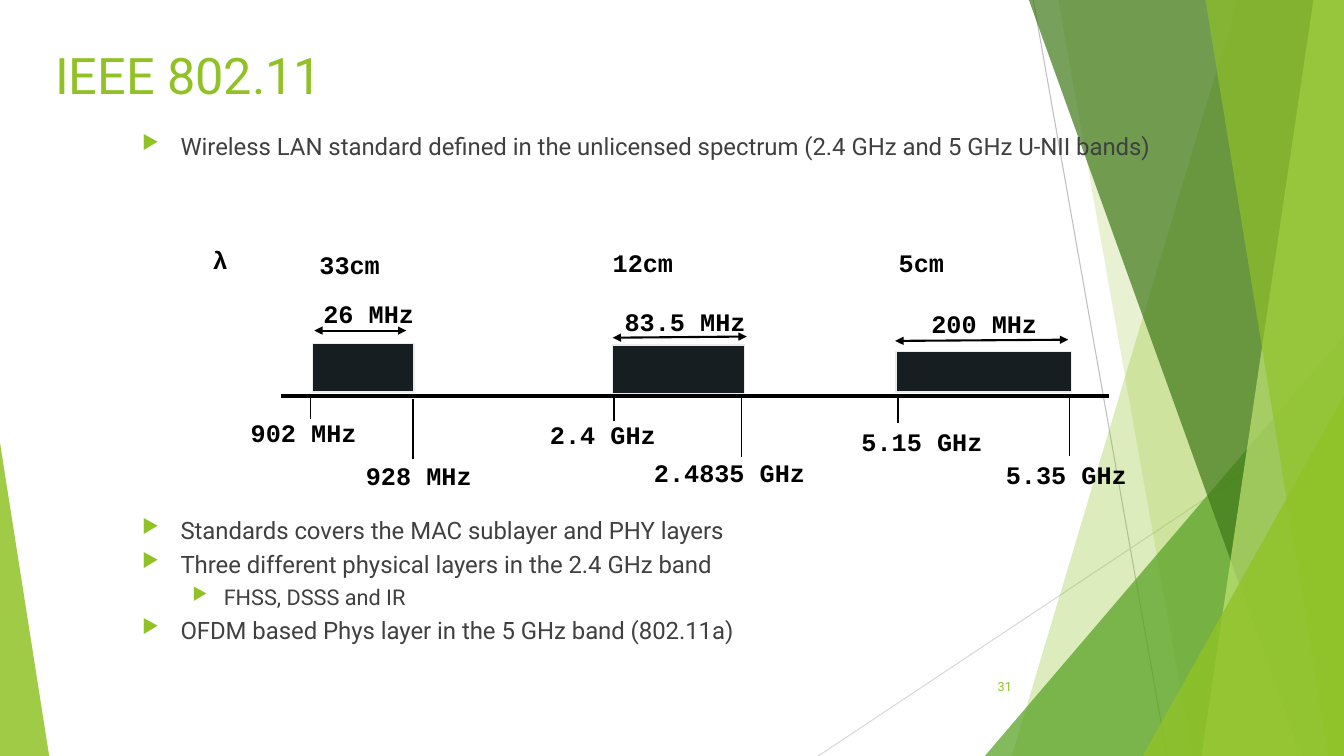
import lxml.etree
import pptx
import pptx.dml.color
import pptx.enum.shapes
import pptx.enum.text
import pptx.oxml.ns
import pptx.util

Cm = pptx.util.Cm
Pt = pptx.util.Pt
qn = pptx.oxml.ns.qn
ALIGN = pptx.enum.text.PP_ALIGN
ANCHOR = pptx.enum.text.MSO_ANCHOR
SHAPE = pptx.enum.shapes.MSO_SHAPE

WIDTH, HEIGHT = 33.87, 19.05
COLOURS = {
    "lime": "90C226", "green": "54A021", "forest": "3F7819", "pale": "C0E474",
    "text": "404040", "ink": "000000", "bar": "161E22", "bar edge": "EBEBEB",
    "grey": "BFBFBF", "light grey": "D9D9D9",
}
FORMATS = {
    "title": {"name": "Roboto", "size": Pt(36), "colour": "lime"},
    "number": {"name": "Roboto", "size": Pt(9), "colour": "lime"},
    "bullet": {"name": "Roboto", "size": Pt(17.1), "colour": "text"},
    "sub-bullet": {"name": "Roboto", "size": Pt(15.5), "colour": "text"},
    "label": {"name": "Courier New", "size": Pt(18), "bold": True, "colour": "ink"},
}

# Full-height panels: x at the top, x at the bottom; triangles: left, top, width, apex
BACKDROP = [
    ("panel", (31.19, 25.5), "lime", 30),
    ("panel", (26.67, 30.05), "lime", 20),
    ("triangle", (24.82, 8.46, 9.05, 1), "green", 72),
    ("panel", (25.93, 32.79), "forest", 70),
    ("panel", (33.1, 30.28), "pale", 70),
    ("panel", (30.38, 33.48), "lime", 65),
    ("triangle", (28.8, 9.98, 5.07, 1), "lime", 80),
    ("triangle", (0, 11.15, 1.24, 0), "lime", 85),
]

# Format, text, left margin, hanging indent, space before in points
BULLETS = [
    ("bullet", "Wireless LAN standard defined in the unlicensed spectrum "
               "(2.4 GHz and 5 GHz U-NII bands)", 0.97, 0.97, 0),
    ("bullet", "Standards covers the MAC sublayer and PHY layers", 0.97, 0.97, 260),
    ("bullet", "Three different physical layers in the 2.4 GHz band", 0.97, 0.97, 10),
    ("sub-bullet", "FHSS, DSSS and IR", 2.06, 0.79, 10),
    ("bullet", "OFDM based Phys layer in the 5 GHz band (802.11a)", 0.97, 0.97, 10),
]

SHORT_TICK, LONG_TICK = 0.64, 1.5
BANDS = [
    {"bar": (7.87, 8.66, 2.57, 1.22), "span": (7.92, 8.33, 10.24, 8.33),
     "ticks": [(7.82, 9.93), (10.41, 10.06)],
     "labels": [("33cm", 7.8, 6.17), ("26 MHz", 7.9, 7.39),
                ("902 MHz", 6.07, 10.39), ("928 MHz", 8.97, 11.48)]},
    {"bar": (15.44, 8.69, 3.33, 1.22), "span": (15.44, 8.51, 18.82, 8.48),
     "ticks": [(15.47, 9.98), (18.69, 10.01)],
     "labels": [("12cm", 15.19, 6.1), ("83.5 MHz", 15.49, 7.59),
                ("2.4 GHz", 13.61, 10.44), ("2.4835 GHz", 16.23, 11.4)]},
    {"bar": (22.58, 8.86, 4.42, 1.02), "span": (22.56, 8.59, 26.92, 8.56),
     "ticks": [(22.63, 10.01), (26.95, 9.98)],
     "labels": [("5cm", 22.4, 6.12), ("200 MHz", 23.22, 7.65),
                ("5.15 GHz", 21.46, 10.62), ("5.35 GHz", 25.1, 11.46)]},
]


def rgb(colour):
    return pptx.dml.color.RGBColor.from_string(COLOURS[colour])


def add_element(parent, tag, **attributes):
    return lxml.etree.SubElement(parent, qn(tag), attributes)


class SlidePainter:
    def __init__(self, slide):
        self.slide = slide
        self.shapes = slide.shapes

    def add_text(self, para, text, style):
        span = para.add_run()
        span.text = text
        for key, value in FORMATS[style].items():
            if key == "colour":
                span.font.color.rgb = rgb(value)
            else:
                setattr(span.font, key, value)

    def title(self, text, left, top, width, height):
        holder = self.shapes.title
        for key, value in {"left": left, "top": top, "width": width, "height": height}.items():
            setattr(holder, key, Cm(value))
        holder.text_frame.vertical_anchor = ANCHOR.MIDDLE
        para = holder.text_frame.paragraphs[0]
        para.alignment = ALIGN.LEFT
        self.add_text(para, text, "title")

    def text_box(self, left, top, width, height, **settings):
        box = self.shapes.add_textbox(Cm(left), Cm(top), Cm(width), Cm(height))
        for key, value in {"word_wrap": True, **settings}.items():
            setattr(box.text_frame, key, value)
        return box.text_frame

    def label(self, text, left, top):
        """Add a one-line label whose width follows its monospaced characters."""
        frame = self.text_box(left, top, 0.51 + 0.38 * len(text), 1.02, word_wrap=False,
                              auto_size=pptx.enum.text.MSO_AUTO_SIZE.SHAPE_TO_FIT_TEXT)
        self.add_text(frame.paragraphs[0], text, "label")

    def number(self, text, left, top, width, height):
        frame = self.text_box(left, top, width, height, vertical_anchor=ANCHOR.MIDDLE)
        frame.paragraphs[0].alignment = ALIGN.RIGHT
        self.add_text(frame.paragraphs[0], text, "number")

    def bullets(self, items, left, top, width, height):
        frame = self.text_box(left, top, width, height)
        for index, (style, text, margin, hanging, before) in enumerate(items):
            para = frame.add_paragraph() if index else frame.paragraphs[0]
            properties = para._p.get_or_add_pPr()
            properties.set("marL", str(Cm(margin)))
            properties.set("indent", str(-Cm(hanging)))
            add_element(add_element(properties, "a:buClr"), "a:srgbClr", val=COLOURS["lime"])
            add_element(properties, "a:buSzPct", val="80000")
            add_element(properties, "a:buChar", char="▶")
            for key, value in {"line_spacing": 0.7, "space_before": Pt(before)}.items():
                setattr(para, key, value)
            self.add_text(para, text, style)

    def paint(self, shape, colour, opacity=100, edge=None):
        shape.shadow.inherit = False
        shape.fill.solid()
        shape.fill.fore_color.rgb = rgb(colour)
        if opacity < 100:
            tone = shape.element.spPr.find(qn("a:solidFill")).find(qn("a:srgbClr"))
            add_element(tone, "a:alpha", val=str(opacity * 1000))
        if edge:
            shape.line.color.rgb = rgb(edge)
            shape.line.width = Pt(1)
        else:
            shape.line.fill.background()

    def panel(self, place, colour, opacity):
        """Fill from a slanted left edge to the right edge of the slide."""
        top_x, bottom_x = place
        outline = self.shapes.build_freeform(Cm(top_x), 0)
        corners = [(WIDTH, 0), (WIDTH, HEIGHT), (bottom_x, HEIGHT)]
        outline.add_line_segments([(Cm(x), Cm(y)) for x, y in corners])
        self.paint(outline.convert_to_shape(), colour, opacity)

    def triangle(self, place, colour, opacity):
        left, top, width, apex = place
        shape = self.shapes.add_shape(SHAPE.ISOSCELES_TRIANGLE, Cm(left), Cm(top),
                                      Cm(width), Cm(HEIGHT - top))
        shape.adjustments[0] = apex
        self.paint(shape, colour, opacity)

    def bar(self, *place):
        shape = self.shapes.add_shape(SHAPE.RECTANGLE, *map(Cm, place))
        self.paint(shape, "bar", edge="bar edge")

    def line(self, *ends, colour="ink", width=1, arrows=False):
        connector = self.shapes.add_connector(
            pptx.enum.shapes.MSO_CONNECTOR.STRAIGHT, *map(Cm, ends))
        connector.line.color.rgb = rgb(colour)
        connector.line.width = Pt(width)
        if arrows:
            outline = connector.element.spPr.find(qn("a:ln"))
            for tag in ("a:headEnd", "a:tailEnd"):
                add_element(outline, tag, type="triangle")
        add_element(connector.element.spPr, "a:effectLst")


def main():
    deck = pptx.Presentation()
    deck.slide_width, deck.slide_height = Cm(WIDTH), Cm(HEIGHT)
    page = SlidePainter(deck.slides.add_slide(deck.slide_layouts[5]))

    page.line(26.04, 0, 29.41, HEIGHT, colour="grey", width=0.75)
    page.line(WIDTH, 10.24, 20.62, HEIGHT, colour="light grey", width=0.75)
    painters = {"panel": page.panel, "triangle": page.triangle}
    for kind, place, colour, opacity in BACKDROP:
        painters[kind](place, colour, opacity)

    page.number("31", 23.85, 16.79, 1.9, 1.02)
    page.title("IEEE 802.11", 1.14, 0.81, 31.55, 2.11)
    page.bullets(BULLETS, 3.33, 3.38, 27.84, 13.54)

    page.line(7.09, 9.98, 27.94, 9.98, width=2.25)
    page.label("λ", 5.11, 6.02)
    for band in BANDS:
        page.bar(*band["bar"])
        page.line(*band["span"], width=1.5, arrows=True)
        for (x, top), length in zip(band["ticks"], (SHORT_TICK, LONG_TICK)):
            page.line(x, top, x, top + length)
        for label in band["labels"]:
            page.label(*label)

    deck.save("out.pptx")


if __name__ == "__main__":
    main()
